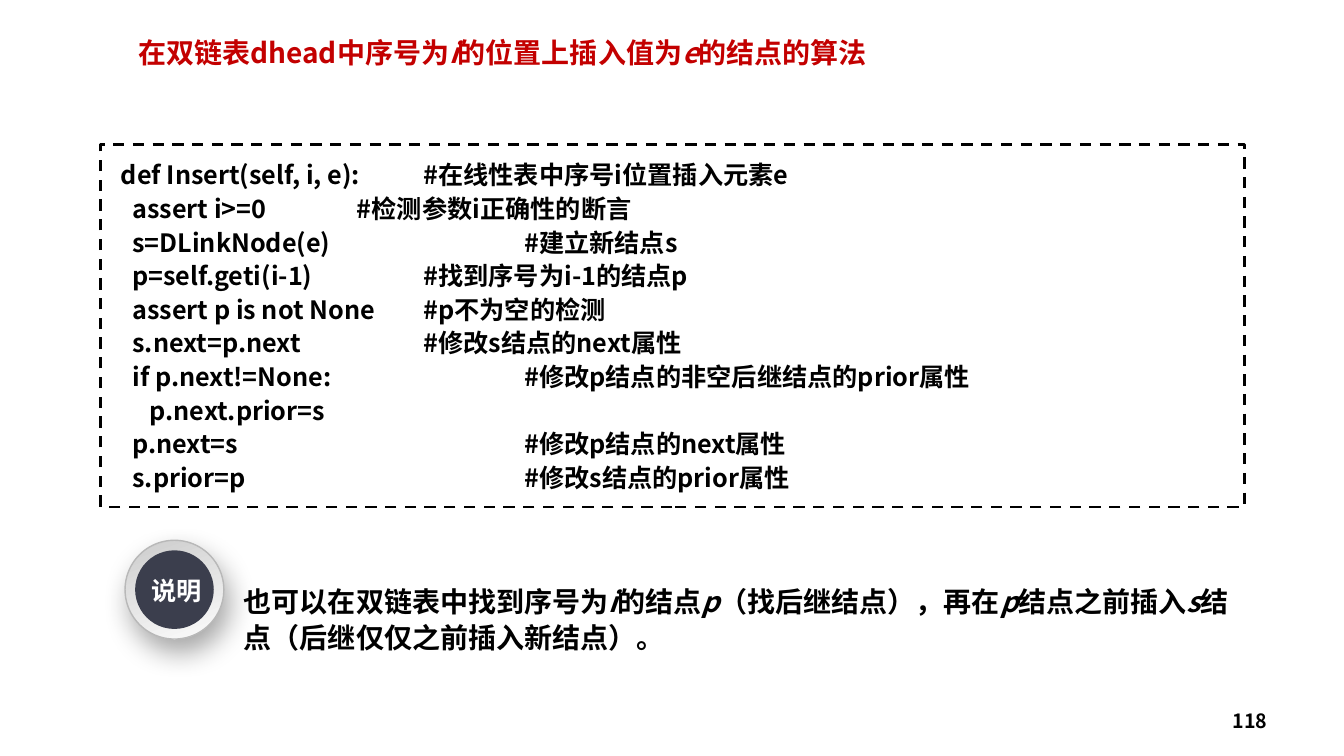
import pptx
import pptx.util
import pptx.dml.color
import pptx.enum.dml
import pptx.enum.shapes
import pptx.enum.text
import pptx.oxml
import pptx.oxml.ns
from lxml import etree

Inches, Pt = pptx.util.Inches, pptx.util.Pt
RGBColor = pptx.dml.color.RGBColor
PP_ALIGN = pptx.enum.text.PP_ALIGN
MSO_ANCHOR = pptx.enum.text.MSO_ANCHOR
MSO_AUTO_SIZE = pptx.enum.text.MSO_AUTO_SIZE
OVAL = pptx.enum.shapes.MSO_SHAPE.OVAL
qn = pptx.oxml.ns.qn

FONT = "Noto Sans CJK SC"
RED = RGBColor(0xC3, 0x00, 0x00)
BLACK = RGBColor(0x00, 0x00, 0x00)
WHITE = RGBColor(0xFF, 0xFF, 0xFF)
NAVY = RGBColor(0x3B, 0x3E, 0x4D)
RING_DARK = RGBColor(0xCC, 0xCC, 0xCC)
RING_LIGHT = RGBColor(0xFC, 0xFC, 0xFC)
RING_EDGE = RGBColor(0xB8, 0xB8, 0xB8)

# Asterisks enclose the italic symbols
TITLE = "在双链表dhead中序号为*i*的位置上插入值为*e*的结点的算法"
NOTE = ("也可以在双链表中找到序号为*i*的结点*p*（找后继结点），再在*p*结点之前插入"
        "*s*结点（后继仅仅之前插入新结点）。")

# Code, comment, comment position in inches from the text edge
CODE = [
    ("def Insert(self, i, e):", "#在线性表中序号i位置插入元素e", 3),
    ("  assert i>=0", "#检测参数i正确性的断言", 2.34),
    ("  s=DLinkNode(e)", "#建立新结点s", 4),
    ("  p=self.geti(i-1)", "#找到序号为i-1的结点p", 3),
    ("  assert p is not None", "#p不为空的检测", 3),
    ("  s.next=p.next", "#修改s结点的next属性", 3),
    ("  if p.next!=None:", "#修改p结点的非空后继结点的prior属性", 4),
    ("     p.next.prior=s", "", None),
    ("  p.next=s", "#修改p结点的next属性", 4),
    ("  s.prior=p", "#修改s结点的prior属性", 4),
]


def style(paragraph, size, color, align=PP_ALIGN.LEFT, spacing=None):
    paragraph.alignment = align
    paragraph.line_spacing = spacing
    font = paragraph.font
    font.size, font.bold, font.name = Pt(size), True, FONT
    font.color.rgb = color
    defaults = paragraph._p.pPr.find(qn("a:defRPr"))
    etree.SubElement(defaults, qn("a:ea"), typeface=FONT)


def add_runs(paragraph, marked_text):
    for index, part in enumerate(marked_text.split("*")):
        run = paragraph.add_run()
        run.text = part
        if index % 2:
            run.font.italic = True


def add_tab_stop(paragraph, position):
    tabs = etree.SubElement(paragraph._p.get_or_add_pPr(), qn("a:tabLst"))
    etree.SubElement(tabs, qn("a:tab"), pos=str(Inches(position)), algn="l")


def add_title(slide, left, top, width, height):
    title = slide.shapes.title
    title.left, title.top = Inches(left), Inches(top)
    title.width, title.height = Inches(width), Inches(height)
    frame = title.text_frame
    frame.vertical_anchor = MSO_ANCHOR.TOP
    frame.auto_size = MSO_AUTO_SIZE.SHAPE_TO_FIT_TEXT
    heading = frame.paragraphs[0]
    add_runs(heading, TITLE)
    style(heading, 20, RED, spacing=1.0)
    heading.space_before = Pt(0)


def add_code(slide, left, top, width, height):
    listing = slide.shapes.add_shape(
        pptx.enum.shapes.MSO_SHAPE.RECTANGLE,
        Inches(left), Inches(top), Inches(width), Inches(height))
    listing.shadow.inherit = False
    listing.fill.background()
    listing.line.color.rgb = BLACK
    listing.line.width = Pt(2)
    listing.line.dash_style = pptx.enum.dml.MSO_LINE.DASH
    frame = listing.text_frame
    frame.word_wrap = True
    frame.auto_size = MSO_AUTO_SIZE.SHAPE_TO_FIT_TEXT
    frame.vertical_anchor = MSO_ANCHOR.TOP
    frame.margin_left = Inches(0.2)
    frame.margin_top = frame.margin_bottom = Inches(0.12)
    for index, (code, comment, stop) in enumerate(CODE):
        line = frame.add_paragraph() if index else frame.paragraphs[0]
        line.add_run().text = f"{code}\t{comment}" if comment else code
        if comment:
            add_tab_stop(line, stop)
        style(line, 18, BLACK, spacing=Pt(24))


def add_text(shapes, left, top, width, height, text, size, color,
             align=PP_ALIGN.LEFT, spacing=None, wrap=True):
    box = shapes.add_textbox(Inches(left), Inches(top), Inches(width), Inches(height))
    frame = box.text_frame
    frame.word_wrap = wrap
    add_runs(frame.paragraphs[0], text)
    style(frame.paragraphs[0], size, color, align, spacing)
    return frame


def add_shadow(shape, color, alpha, blur, distance, angle):
    shape.shadow.inherit = False
    effects = shape._element.spPr.find(qn("a:effectLst"))
    shadow = etree.SubElement(
        effects, qn("a:outerShdw"), blurRad=str(Pt(blur)), dist=str(Pt(distance)),
        dir=str(angle * 60000), algn="ctr", rotWithShape="0")
    tone = etree.SubElement(shadow, qn("a:srgbClr"), val=str(color))
    etree.SubElement(tone, qn("a:alpha"), val=str(alpha * 1000))


def add_badge(slide, left, top, size):
    badge = slide.shapes.add_group_shape().shapes

    # Outer ring
    ring = badge.add_shape(OVAL, Inches(left), Inches(top), Inches(size), Inches(size))
    ring.fill.gradient()
    ring.fill.gradient_angle = 290
    for stop, color in zip(ring.fill.gradient_stops, (RING_DARK, RING_LIGHT)):
        stop.color.rgb = color
    ring.line.color.rgb = RING_EDGE
    ring.line.width = Pt(1)
    add_shadow(ring, BLACK, alpha=34, blur=20, distance=10, angle=70)

    # Inner disc
    inset = 0.1
    disc_size = Inches(size - 2 * inset)
    disc = badge.add_shape(OVAL, Inches(left + inset), Inches(top + inset),
                           disc_size, disc_size)
    disc.shadow.inherit = False
    disc.fill.solid()
    disc.fill.fore_color.rgb = NAVY
    disc.line.fill.background()

    # Label
    label = add_text(badge, left + 0.16, top + 0.36, 0.7, 0.34, "说明", 18, WHITE,
                     PP_ALIGN.CENTER, 0.8, wrap=False)
    label.auto_size = MSO_AUTO_SIZE.SHAPE_TO_FIT_TEXT


def add_note(slide, left, top, width, height):
    note = add_text(slide.shapes, left, top, width, height, NOTE, 20, BLACK,
                    spacing=Pt(26))
    note.auto_size = MSO_AUTO_SIZE.SHAPE_TO_FIT_TEXT


def add_page_number(slide, left, top, width, height):
    number = add_text(slide.shapes, left, top, width, height, "118", 14, BLACK,
                      PP_ALIGN.RIGHT)
    number.vertical_anchor = MSO_ANCHOR.MIDDLE


def main():
    deck = pptx.Presentation()
    deck.slide_width, deck.slide_height = Inches(13.33), Inches(7.5)
    slide = deck.slides.add_slide(deck.slide_layouts[5])
    add_code(slide, 1, 1.43, 11.34, 3.6)
    add_title(slide, 1.27, 0.3, 8.28, 0.44)
    add_note(slide, 2.32, 5.72, 10.01, 0.83)
    add_badge(slide, 1.24, 5.36, 0.98)
    add_page_number(slide, 9.56, 6.95, 3.11, 0.4)
    deck.save("out.pptx")


if __name__ == "__main__":
    main()
